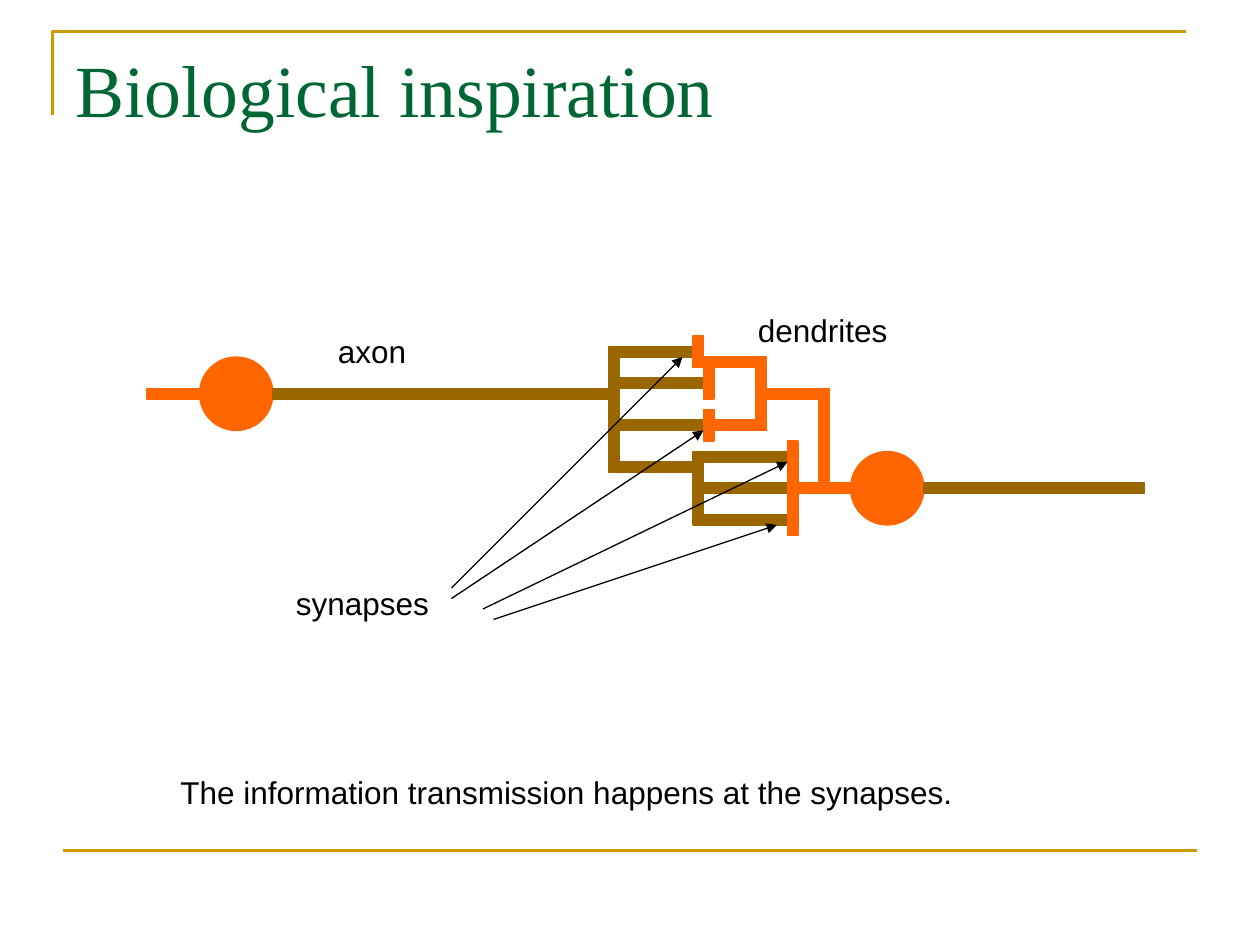
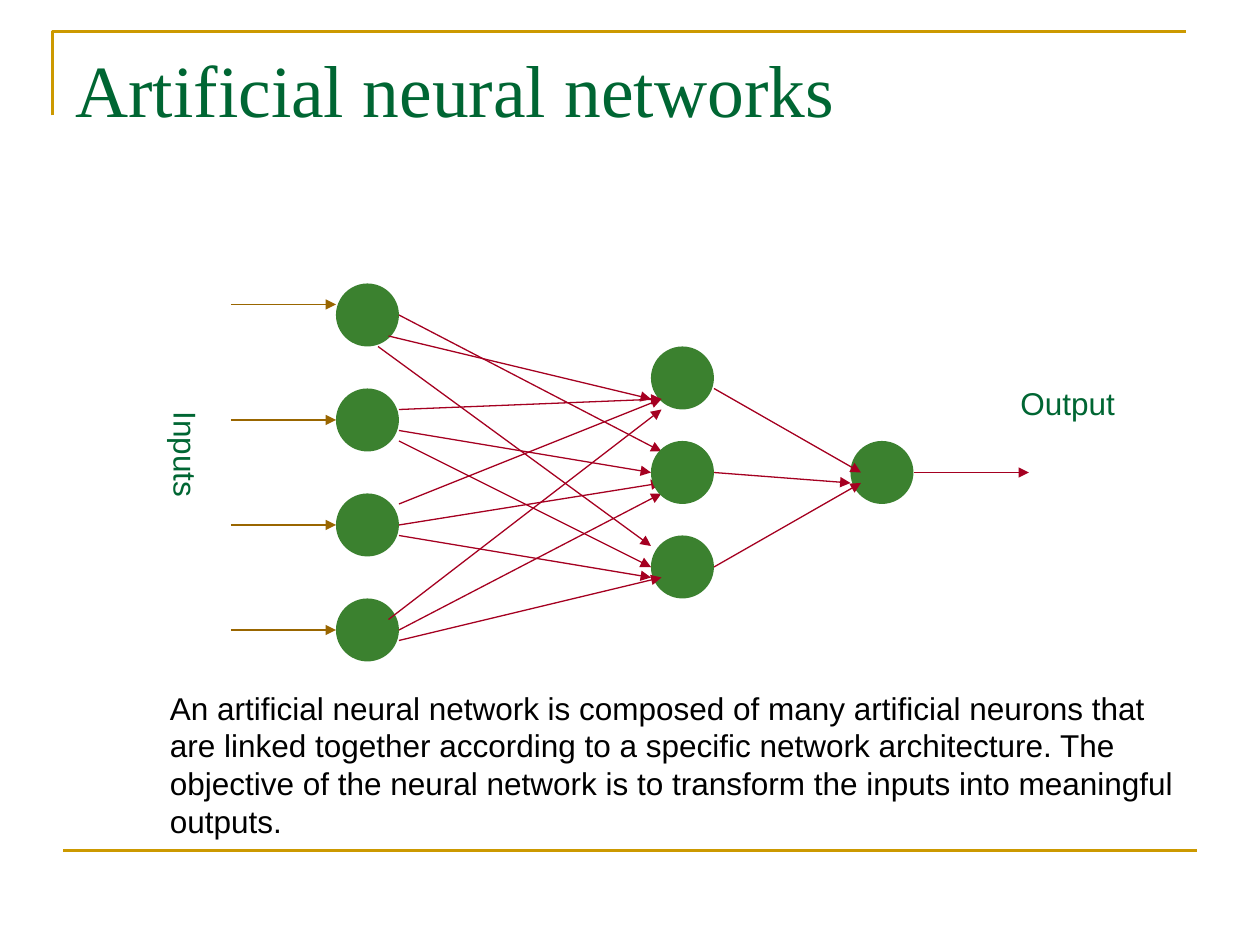
import pptx
import pptx.util
import pptx.dml.color
import pptx.enum.shapes
import pptx.enum.text
import pptx.oxml.ns
import lxml.etree

EMU_PER_PX = 9525
COLORS = {
    "frame": "CC9900",
    "heading": "006633",
    "body": "000000",
    "axon": "996600",
    "dendrite": "FF6600",
    "node": "3B812F",
    "link": "A50021",
}
OVAL = pptx.enum.shapes.MSO_SHAPE.OVAL
BAR = pptx.enum.shapes.MSO_SHAPE.RECTANGLE
THICKNESS = 8
SOMA = 56
NODE = 48
BRANCH = 64


def px(length):
    return pptx.util.Emu(length * EMU_PER_PX)


def rgb(color):
    return pptx.dml.color.RGBColor.from_string(COLORS[color])


def add_text(slide, box, text, color="body", size=18, font="Arial", vertical=False):
    label = slide.shapes.add_textbox(*map(px, box))
    frame = label.text_frame
    frame.word_wrap = True
    frame.vertical_anchor = pptx.enum.text.MSO_ANCHOR.TOP
    if vertical:
        frame._txBody.bodyPr.set("vert", "eaVert")
    paragraph = frame.paragraphs[0]
    paragraph.text = text
    paragraph.font.name = font
    paragraph.font.size = pptx.util.Pt(size)
    paragraph.font.color.rgb = rgb(color)


def add_solid(slide, preset, box, color, outlined=False):
    solid = slide.shapes.add_shape(preset, *map(px, box))
    solid.shadow.inherit = False
    solid.fill.solid()
    solid.fill.fore_color.rgb = rgb(color)
    if outlined:
        solid.line.color.rgb = rgb(color)
        solid.line.width = pptx.util.Pt(0.75)
    else:
        solid.line.fill.background()


def add_line(slide, start, end, color, width=0.75, arrow=True):
    line = slide.shapes.add_connector(
        pptx.enum.shapes.MSO_CONNECTOR.STRAIGHT, *map(px, (*start, *end))
    )
    line.line.color.rgb = rgb(color)
    line.line.width = pptx.util.Pt(width)
    if arrow:
        head = lxml.etree.SubElement(line.line._get_or_add_ln(), pptx.oxml.ns.qn("a:tailEnd"))
        head.set("type", "triangle")
    lxml.etree.SubElement(line._element.spPr, pptx.oxml.ns.qn("a:effectLst"))


def add_framed_slide(deck, title):
    slide = deck.slides.add_slide(deck.slide_layouts[6])
    builder = slide.shapes.build_freeform(40, 88, scale=EMU_PER_PX)
    builder.add_line_segments([(40, 24), (904, 24)], close=False)
    corner = builder.convert_to_shape()
    corner.shadow.inherit = False
    corner.fill.background()
    corner.line.color.rgb = rgb("frame")
    corner.line.width = pptx.util.Pt(1.5)
    add_line(slide, (48, 648), (912, 648), "frame", width=1.5, arrow=False)
    add_text(slide, (48, 29, 864, 120), title, "heading", 42, "Times New Roman")
    return slide


def draw_neurons(slide, left, top):
    def horizontal(x, y, length, color):
        add_solid(slide, BAR, (left + x, top + y, length, THICKNESS), color, True)

    def vertical(x, y, length, color):
        add_solid(slide, BAR, (left + x, top + y, THICKNESS, length), color, True)

    for x, y in ((40, 40), (536, 112)):
        add_solid(slide, OVAL, (left + x, top + y, SOMA, SOMA), "dendrite", True)

    for x, y, length in ((96, 64, 256), (592, 136, 168)):
        horizontal(x, y, length, "axon")
    for x, y, length in ((352, 40, 80), (416, 112, 56)):
        vertical(x, y, length, "axon")
    for x, y in ((352, 32), (360, 56), (360, 88), (352, 120),
                 (424, 112), (424, 136), (424, 160)):
        horizontal(x, y, BRANCH, "axon")

    for x, y in ((0, 64), (424, 40), (432, 88), (472, 64), (496, 136)):
        horizontal(x, y, 40, "dendrite")
    for x, y in ((416, 24), (424, 48), (424, 80), (488, 104), (488, 128), (488, 152)):
        vertical(x, y, 24, "dendrite")
    for x, y, length in ((464, 40, 48), (512, 64, 80)):
        vertical(x, y, length, "dendrite")

    for x1, y1, x2, y2 in ((232, 216, 408, 40), (232, 224, 424, 96),
                           (256, 232, 488, 120), (264, 240, 480, 168)):
        add_line(slide, (left + x1, top + y1), (left + x2, top + y2), "body")

    for text, x, y, width in (("synapses", 104, 208, 176), ("axon", 136, 16, 144),
                              ("dendrites", 456, 0, 152)):
        add_text(slide, (left + x, top + y, width, 48), text)


def draw_network(slide, left, top):
    input_x, hidden_x, output_x = 80, 320, 472
    input_right, hidden_right, output_right = (
        x + NODE for x in (input_x, hidden_x, output_x)
    )

    def layer(x, first_y, step, count):
        for index in range(count):
            y = first_y + index * step
            add_solid(slide, OVAL, (left + x, top + y, NODE, NODE), "node")

    def links(ends, color="link"):
        for x1, y1, x2, y2 in ends:
            add_line(slide, (left + x1, top + y1), (left + x2, top + y2), color)

    to_middle = (
        (input_right, 24, hidden_x + 8, 128),
        (input_right, 112, hidden_x, 144),
        (input_right, 184, hidden_x + 8, 152),
        (input_right, 264, hidden_x + 8, 160),
    )
    to_upper = (
        (input_right - 8, 40, hidden_x, 88),
        (input_right, 96, hidden_x + 8, 88),
        (input_right, 168, hidden_x + 8, 88),
        (input_right - 8, 256, hidden_x + 8, 96),
    )
    to_lower = (
        (input_right - 16, 48, hidden_x, 200),
        (input_right, 120, hidden_x, 216),
        (input_right, 192, hidden_x, 224),
        (input_right, 272, hidden_x + 8, 224),
    )
    to_output = (
        (hidden_right, 80, output_x + 8, 144),
        (hidden_right, 144, output_x, 152),
        (hidden_right, 216, output_x + 8, 152),
        (output_right, 144, output_right + 88, 144),
    )
    layer(input_x, 0, 80, 4)
    links(to_middle)
    layer(hidden_x, 48, 72, 3)
    links(to_upper + to_lower)
    layer(output_x, 120, 0, 1)
    links(to_output)
    links([(0, y, input_x, y) for y in (16, 104, 184, 264)], "axon")
    add_text(slide, (left - 73, top + 88, 58, 160), "Inputs", "heading", vertical=True)
    add_text(slide, (left + 592, top + 72, 128, 48), "Output", "heading")


def main():
    deck = pptx.Presentation()
    deck.slide_width, deck.slide_height = px(960), px(720)

    biology = add_framed_slide(deck, "Biological inspiration")
    draw_neurons(biology, 112, 232)
    add_text(biology, (128, 584, 776, 48),
             "The information transmission happens at the synapses.")

    network = add_framed_slide(deck, "Artificial neural networks")
    draw_network(network, 176, 216)
    add_text(network, (120, 520, 784, 163),
             "An artificial neural network is composed of many artificial neurons that "
             "are linked together according to a specific network architecture. The "
             "objective of the neural network is to transform the inputs into meaningful "
             "outputs.")

    deck.save("out.pptx")


if __name__ == "__main__":
    main()
